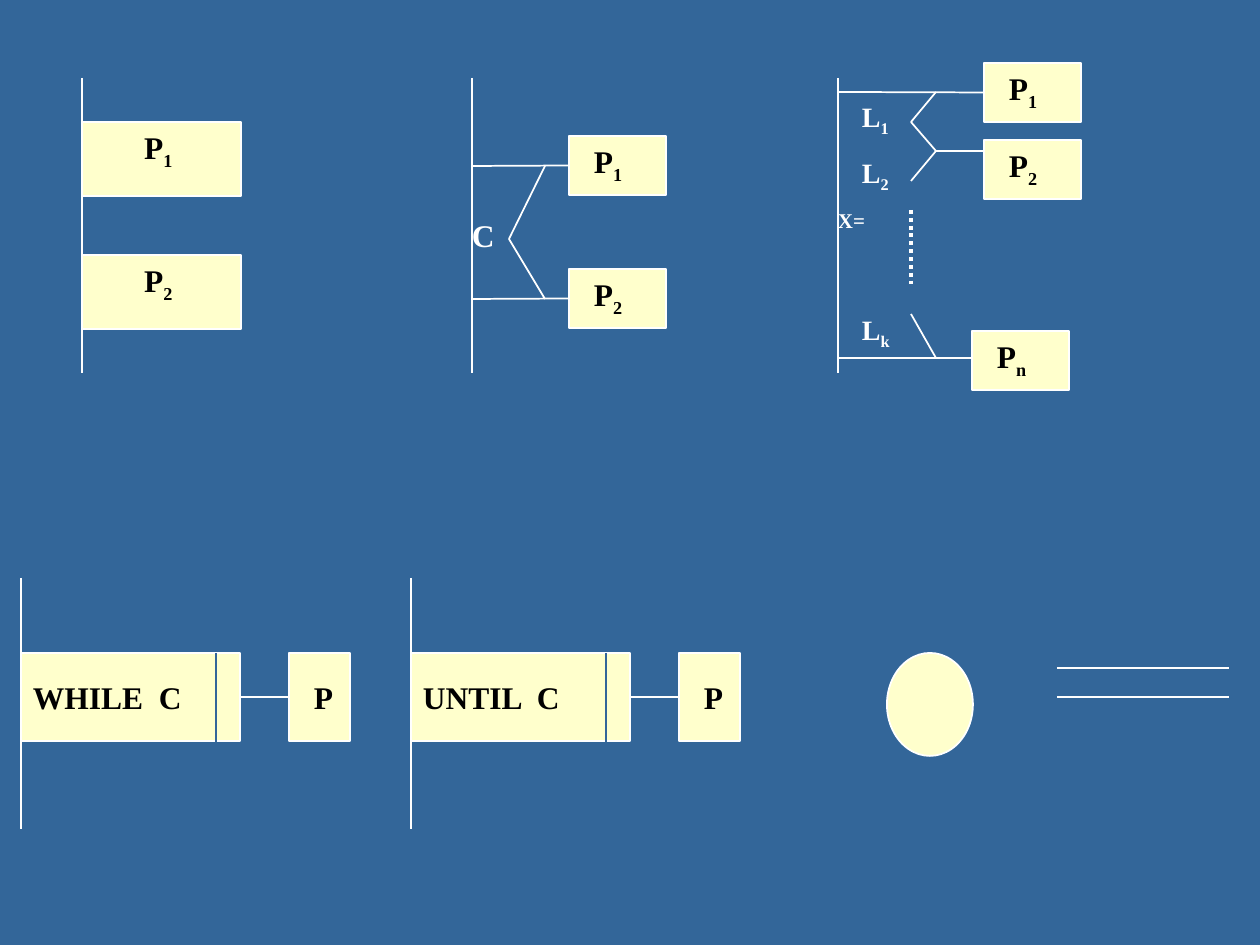
from pptx import Presentation
from pptx.dml.color import RGBColor
from pptx.enum.dml import MSO_LINE_DASH_STYLE as Dash
from pptx.enum.shapes import MSO_CONNECTOR as Connector, MSO_SHAPE as Shape
from pptx.enum.text import MSO_ANCHOR as Anchor, PP_ALIGN as Align
from pptx.oxml.ns import qn
from pptx.util import Pt
from lxml.etree import SubElement

PX = 914400 // 126
BLUE = RGBColor(0x33, 0x66, 0x99)
CREAM = RGBColor(0xFF, 0xFF, 0xCC)
WHITE = RGBColor(0xFF, 0xFF, 0xFF)
BLACK = RGBColor(0, 0, 0)
FONT = "Times New Roman"
BOX_WIDTH, BOX_HEIGHT = 97, 59
RIGHT, LEFT = 3, 1


def px(*lengths):
    return [length * PX for length in lengths]


def add_line(slide, x1, y1, x2, y2, color=WHITE, width=1):
    line = slide.shapes.add_connector(Connector.STRAIGHT, *px(x1, y1, x2, y2))
    line.line.color.rgb = color
    line.line.width = Pt(width)
    SubElement(line._element.spPr, qn("a:effectLst"))
    return line


def add_polyline(slide, points):
    for start, end in zip(points, points[1:]):
        add_line(slide, *start, *end)


def add_block(slide, kind, x, y, width, height):
    shape = slide.shapes.add_shape(kind, *px(x, y, width, height))
    shape.shadow.inherit = False
    shape.fill.solid()
    shape.fill.fore_color.rgb = CREAM
    shape.line.color.rgb = WHITE
    shape.line.width = Pt(1)
    return shape


def set_insets(frame, left=12, top=6, right=0):
    frame.word_wrap = True
    frame.margin_left, frame.margin_top = px(left, top)
    frame.margin_right, frame.margin_bottom = px(right, 0)


def write(paragraph, text, subscript="", size=18, color=BLACK, tab=None):
    paragraph.alignment = Align.LEFT
    if tab:
        tabs = SubElement(paragraph._p.get_or_add_pPr(), qn("a:tabLst"))
        SubElement(tabs, qn("a:tab"), pos=str(tab * PX), algn="l")
    font = paragraph.font
    font.name, font.size, font.bold = FONT, Pt(size), True
    font.color.rgb = color
    paragraph.add_run().text = text
    if subscript:
        run = paragraph.add_run()
        run.text = subscript
        run._r.get_or_add_rPr().set("baseline", "-25000")


def add_process(slide, x, y, subscript, width=BOX_WIDTH, height=BOX_HEIGHT, inset=25):
    shape = add_block(slide, Shape.RECTANGLE, x, y, width, height)
    frame = shape.text_frame
    set_insets(frame, inset)
    frame.vertical_anchor = Anchor.TOP
    write(frame.paragraphs[0], "P", subscript)
    return shape


def add_label(slide, x, y, width, height, text, size):
    frame = slide.shapes.add_textbox(*px(x, y, width, height)).text_frame
    set_insets(frame)
    write(frame.paragraphs[0], text, size=size, color=WHITE)


def add_sequence(slide, left, top, height):
    add_line(slide, left, top, left, top + height)
    for index in range(2):
        add_process(slide, left, top + 44 + 133 * index, str(index + 1), 159, 74, 62)


def add_choice(slide, left, top, height):
    add_line(slide, left, top, left, top + height)
    upper, lower = top + 88, top + 221
    for number, y in enumerate((upper, lower), 1):
        process = add_process(slide, left + 97, y - 30, str(number))
        branch = add_line(slide, left, y, left + 97, y)
        branch.end_connect(process, LEFT)
    add_polyline(slide, [(left + 73, upper), (left + 37, top + 161), (left + 73, lower)])
    add_label(slide, left - 12, top + 132, 73, 50, "C", 18)


def add_case(slide, left, top, height):
    add_line(slide, left, top, left, top + height)
    tip, notch, end = left + 98, left + 73, left + 146
    first = add_process(slide, end, top - 15, "1")
    add_line(slide, left, top + 14, end, top + 14).end_connect(first, LEFT)
    add_process(slide, end, top + 62, "2")
    add_line(slide, tip, top + 73, end, top + 73)
    add_line(slide, left, top + 280, end, top + 280)
    add_process(slide, left + 134, top + 253, "n")
    add_polyline(slide, [(tip, top + 14), (notch, top + 44),
                         (tip, top + 73), (notch, top + 103)])
    add_line(slide, notch, top + 236, tip, top + 280)
    dots = add_line(slide, notch, top + 132, notch, top + 206, width=2.25)
    dots.line.dash_style = Dash.ROUND_DOT
    add_label(slide, left - 12, top + 124, 60, 38, "X=", 12)

    frame = slide.shapes.add_textbox(*px(left + 12, top + 16, 73, 265)).text_frame
    set_insets(frame)
    for index, (subscript, space) in enumerate((("1", 0), ("2", 10), ("k", 68))):
        paragraph = frame.add_paragraph() if index else frame.paragraphs[0]
        paragraph.space_before = Pt(space)
        write(paragraph, "L", subscript, 16, WHITE)


def add_loop(slide, left, top, height, keyword, tab):
    add_line(slide, left, top, left, top + height)
    y = top + 75
    condition = add_block(slide, Shape.RECTANGLE, left, y, 219, 88)
    set_insets(condition.text_frame, top=0)
    condition.text_frame.vertical_anchor = Anchor.MIDDLE
    write(condition.text_frame.paragraphs[0], f"{keyword}\tC", tab=tab)
    add_line(slide, left + 195, y, left + 195, y + 103, BLUE)
    process = add_process(slide, left + 268, y, "", 61, 88)
    process.text_frame.margin_top = 0
    process.text_frame.vertical_anchor = Anchor.MIDDLE
    link = add_line(slide, left + 219, y + 44, left + 268, y + 44)
    link.begin_connect(condition, RIGHT)
    link.end_connect(process, LEFT)


def add_symbols(slide, left, top):
    add_block(slide, Shape.OVAL, left, top, 86, 103)
    for y in (top + 15, top + 44):
        add_line(slide, left + 170, y, left + 342, y)


def main():
    presentation = Presentation()
    presentation.slide_width, presentation.slide_height = px(1260, 945)
    slide = presentation.slides.add_slide(presentation.slide_layouts[6])
    slide.background.fill.solid()
    slide.background.fill.fore_color.rgb = BLUE
    add_sequence(slide, 82, 78, 295)
    add_choice(slide, 472, 78, 295)
    add_case(slide, 838, 78, 295)
    add_loop(slide, 21, 578, 251, "WHILE", 126)
    add_loop(slide, 411, 578, 251, "UNTIL", 114)
    add_symbols(slide, 887, 653)
    presentation.save("out.pptx")


if __name__ == "__main__":
    main()
